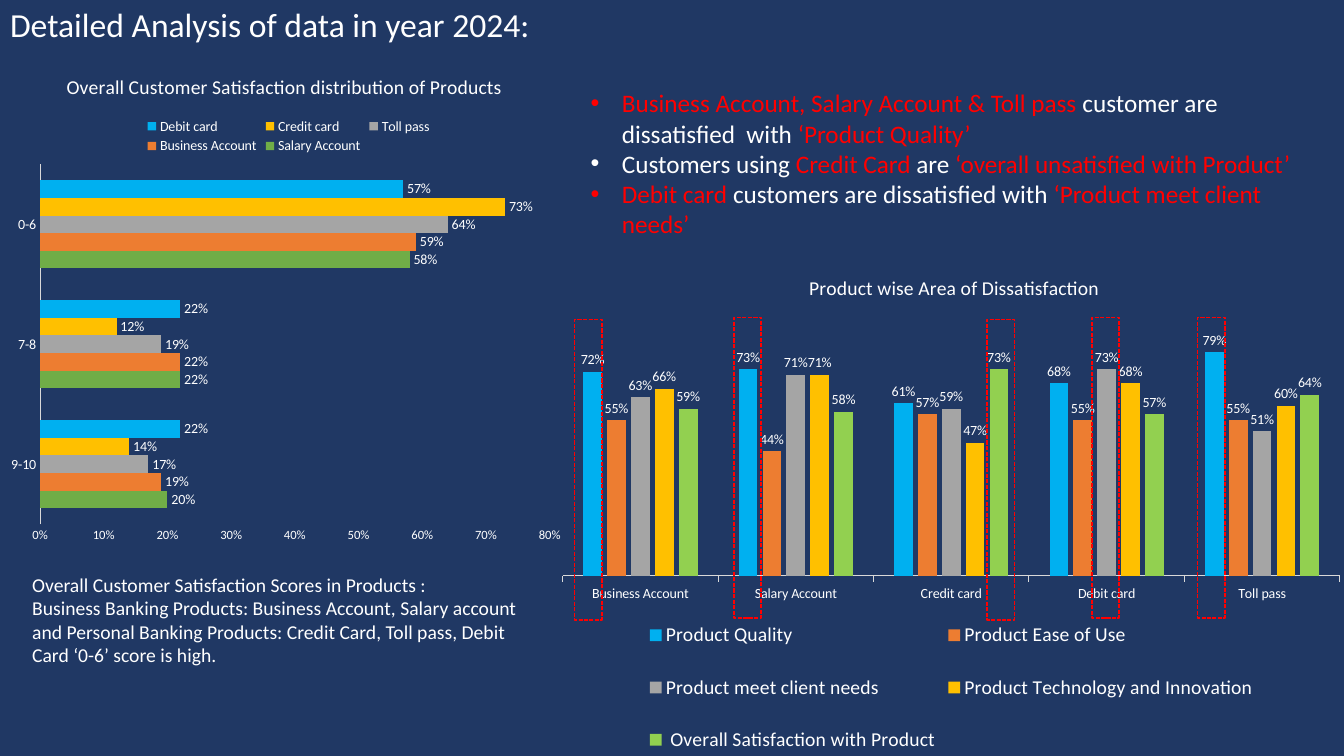
from dataclasses import dataclass

from lxml.etree import SubElement
from pptx import Presentation
from pptx.chart.data import CategoryChartData
from pptx.dml.color import RGBColor
from pptx.enum.chart import XL_CHART_TYPE, XL_LABEL_POSITION, XL_LEGEND_POSITION, XL_TICK_MARK
from pptx.enum.dml import MSO_LINE
from pptx.enum.shapes import MSO_SHAPE
from pptx.enum.text import MSO_ANCHOR, PP_ALIGN
from pptx.oxml import parse_xml
from pptx.oxml.ns import nsdecls, qn
from pptx.util import Inches, Pt


@dataclass(frozen=True)
class Theme:
    font: str = "Calibri"
    navy: str = "203864"
    white: str = "FFFFFF"
    red: str = "FF0000"
    axis: str = "D9D9D9"
    blue: str = "00B0F0"
    orange: str = "ED7D31"
    grey: str = "A5A5A5"
    gold: str = "FFC000"
    green: str = "70AD47"
    lime: str = "92D050"
    title: int = 24
    bullet: int = 18
    body: int = 14
    label: int = 10
    tick: int = 9


T = Theme()


def style(font, size, color=T.white):
    values = {"name": T.font, "size": Pt(size), "bold": False}
    for name, value in values.items():
        setattr(font, name, value)
    font.color.rgb = RGBColor.from_string(color)


def place(layout_xml, target, after):
    values = "".join(f'<c:{k} val="{v}"/>' for k, v in layout_xml.items())
    for old in target.findall(qn("c:layout")):
        target.remove(old)
    layout = parse_xml(f'<c:layout {nsdecls("c")}><c:manualLayout>{values}</c:manualLayout></c:layout>')
    if after is None:
        target.insert(0, layout)
    else:
        after.addnext(layout)


prs = Presentation()
prs.slide_width, prs.slide_height = Inches(13.33), Inches(7.5)
s = prs.slides.add_slide(prs.slide_layouts[5])
s.background.fill.solid()
s.background.fill.fore_color.rgb = RGBColor.from_string(T.navy)

title = s.shapes.title
box = {"left": 0, "top": -0.01, "width": 12.15, "height": 0.5}
for name, value in box.items():
    setattr(title, name, Inches(value))
tf = title.text_frame
tf.vertical_anchor = MSO_ANCHOR.TOP
p = tf.paragraphs[0]
p.alignment = PP_ALIGN.LEFT
r = p.add_run()
r.text = "Detailed Analysis of data in year 2024:"
style(r.font, T.title)

summary = [
    [("Overall Customer Satisfaction Scores in Products :", T.white)],
    [("Business Banking Products: Business Account, Salary account and Personal Banking "
      "Products: Credit Card, Toll pass, Debit Card ‘0-6’ score is high.", T.white)],
]
findings = [
    [("Business Account, Salary Account & Toll pass ", T.red),
     ("customer are dissatisfied  with ", T.white), ("‘Product Quality’", T.red)],
    [("Customers using ", T.white), ("Credit Card ", T.red), ("are ", T.white),
     ("‘overall unsatisfied with Product’", T.red)],
    [("Debit card ", T.red), ("customers are dissatisfied with ", T.white),
     ("‘Product meet client needs’", T.red)],
]
texts = [
    ((0.22, 5.63, 5.08, 1.04), summary, T.body, False),
    ((5.76, 0.82, 7.44, 1.62), findings, T.bullet, True),
]
for at, paragraphs, size, bulleted in texts:
    tf = s.shapes.add_textbox(*map(Inches, at)).text_frame
    tf.word_wrap = True
    for i, runs in enumerate(paragraphs):
        p = tf.add_paragraph() if i else tf.paragraphs[0]
        for text, color in runs:
            r = p.add_run()
            r.text = text
            style(r.font, size, color)
        if bulleted:
            pPr = p._p.get_or_add_pPr()
            pPr.set("marL", str(Inches(0.31)))
            pPr.set("indent", str(-Inches(0.31)))
            SubElement(pPr, qn("a:buFont"), typeface="Arial")
            SubElement(pPr, qn("a:buChar"), char="•")

charts = [
    {
        "kind": XL_CHART_TYPE.BAR_CLUSTERED, "at": (0, 0.54, 5.68, 4.96),
        "title": "Overall Customer Satisfaction distribution of Products",
        "title_at": {"x": 0.11, "y": 0.03}, "legend_at": {"x": 0.25, "y": 0.12},
        "plot_at": {"x": 0.07, "y": 0.22, "w": 0.89, "h": 0.72},
        "legend": XL_LEGEND_POSITION.TOP, "legend_size": T.label,
        "gap": 182, "overlap": 0, "max": 0.8, "values_shown": True, "tick": XL_TICK_MARK.NONE,
        "cats": ["9-10", "7-8", "0-6"],
        "series": [
            ("Salary Account", (0.2, 0.22, 0.58), T.green),
            ("Business Account", (0.19, 0.22, 0.59), T.orange),
            ("Toll pass", (0.17, 0.19, 0.64), T.grey),
            ("Credit card", (0.14, 0.12, 0.73), T.gold),
            ("Debit card", (0.22, 0.22, 0.57), T.blue),
        ],
    },
    {
        "kind": XL_CHART_TYPE.COLUMN_CLUSTERED, "at": (5.42, 2.54, 8.03, 4.96),
        "title": "Product wise Area of Dissatisfaction",
        "title_at": {"x": 0.32, "y": 0.03}, "legend_at": None,
        "plot_at": {"x": 0.02, "y": 0.13, "w": 0.96, "h": 0.51},
        "legend": XL_LEGEND_POSITION.BOTTOM, "legend_size": T.body,
        "gap": 219, "overlap": -27, "max": 0.9, "values_shown": False, "tick": XL_TICK_MARK.OUTSIDE,
        "cats": ["Business Account", "Salary Account", "Credit card", "Debit card", "Toll pass"],
        "series": [
            ("Product Quality\n", (0.72, 0.73, 0.61, 0.68, 0.79), T.blue),
            ("Product Ease of Use\n", (0.55, 0.44, 0.57, 0.55, 0.55), T.orange),
            ("Product meet client needs\n", (0.63, 0.71, 0.59, 0.73, 0.51), T.grey),
            ("Product Technology and Innovation\n", (0.66, 0.71, 0.47, 0.68, 0.6), T.gold),
            (" Overall Satisfaction with Product", (0.59, 0.58, 0.73, 0.57, 0.64), T.lime),
        ],
    },
]
for c in charts:
    data = CategoryChartData(number_format="0%")
    data.categories = c["cats"]
    for name, values, color in c["series"]:
        data.add_series(name, values)
    chart = s.shapes.add_chart(c["kind"], *map(Inches, c["at"]), data).chart
    style(chart.font, T.label)

    chart.has_title = True
    r = chart.chart_title.text_frame.paragraphs[0].add_run()
    r.text = c["title"]
    style(r.font, T.body)
    chart.chart_title.include_in_layout = False
    title_xml = chart.chart_title._element
    place({"xMode": "edge", "yMode": "edge", **c["title_at"]}, title_xml, title_xml.find(qn("c:tx")))

    chart.has_legend = True
    chart.legend.position = c["legend"]
    chart.legend.include_in_layout = False
    style(chart.legend.font, c["legend_size"])
    if c["legend_at"]:
        legend_xml = chart.legend._element
        place({"xMode": "edge", "yMode": "edge", **c["legend_at"]}, legend_xml,
              legend_xml.find(qn("c:legendPos")))
    place({"layoutTarget": "inner", "xMode": "edge", "yMode": "edge", **c["plot_at"]},
          chart._chartSpace.chart.plotArea, None)

    cat, val = chart.category_axis, chart.value_axis
    cat.major_tick_mark = c["tick"]
    style(cat.tick_labels.font, T.label)
    cat.format.line.color.rgb = RGBColor.from_string(T.axis)
    cat.format.line.width = Pt(0.75)
    scale = {"minimum_scale": 0, "maximum_scale": c["max"], "major_unit": 0.1,
             "has_major_gridlines": False, "major_tick_mark": XL_TICK_MARK.NONE,
             "visible": c["values_shown"]}
    for name, value in scale.items():
        setattr(val, name, value)
    style(val.tick_labels.font, T.tick)
    val.tick_labels.number_format = "0%"
    val.tick_labels.number_format_is_linked = False
    val.format.line.fill.background()

    plot = chart.plots[0]
    for name, value in {"gap_width": c["gap"], "overlap": c["overlap"], "vary_by_categories": False}.items():
        setattr(plot, name, value)
    for series, (name, values, color) in zip(plot.series, c["series"]):
        series.format.fill.solid()
        series.format.fill.fore_color.rgb = RGBColor.from_string(color)
        labels = series.data_labels
        label_format = {"show_value": True, "position": XL_LABEL_POSITION.OUTSIDE_END,
                        "number_format": "0%", "number_format_is_linked": False}
        for key, value in label_format.items():
            setattr(labels, key, value)
        style(labels.font, T.label)

for left, top in [(5.7, 3.17), (7.28, 3.15), (9.79, 3.17), (10.83, 3.15), (11.88, 3.15)]:
    sp = s.shapes.add_shape(MSO_SHAPE.RECTANGLE, *map(Inches, (left, top, 0.27, 2.98)))
    sp.shadow.inherit = False
    sp.fill.background()
    sp.line.color.rgb = RGBColor.from_string(T.red)
    sp.line.width = Pt(1)
    sp.line.dash_style = MSO_LINE.SQUARE_DOT

prs.save("out.pptx")
